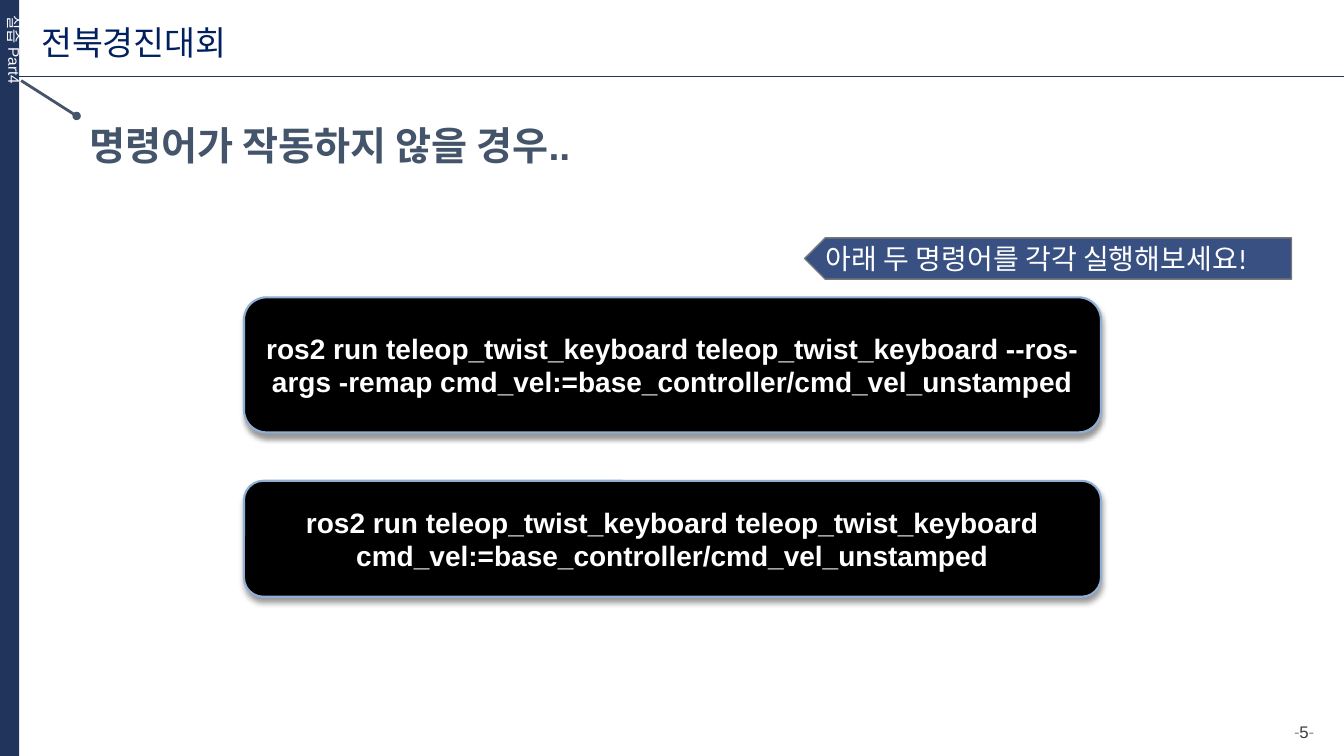
from dataclasses import dataclass

from lxml import etree
from pptx import Presentation
from pptx import util as u
from pptx.dml.color import RGBColor
from pptx.enum import shapes, text
from pptx.oxml import ns


@dataclass(frozen=True)
class Theme:
    navy: str = "21345C"
    deep: str = "002060"
    slate: str = "44546A"
    edge: str = "787878"
    glow: str = "8FAFD5"
    black: str = "000000"
    white: str = "FFFFFF"
    dash: str = "888888"
    digit: str = "3F3F3F"
    head: int = 28
    topic: int = 24
    body: int = 20
    page: int = 12
    side: int = 11
    sans: str = "Arial"
    soft: str = "Calibri"


T = Theme()
W, H = 13.33, 7.5
BAR = 0.19


def rgb(code):
    return RGBColor.from_string(code)


def node(parent, tag, **attrs):
    item = etree.SubElement(parent, ns.qn(tag))
    for key, value in attrs.items():
        item.set(key, str(value))
    return item


def style(run, size, face, color, bold=False):
    font = run.font
    font.size, font.name, font.bold = u.Pt(size), face, bold
    font.color.rgb = rgb(color)


def place(box):
    return [u.Inches(v) for v in box]


def write(shape, words, look, align=text.PP_ALIGN.LEFT,
          anchor=text.MSO_ANCHOR.TOP, indent=0):
    frame = shape.text_frame
    frame.word_wrap = True
    frame.auto_size = text.MSO_AUTO_SIZE.NONE
    frame.vertical_anchor = anchor
    frame.text = words
    para = frame.paragraphs[0]
    para.alignment = align
    if indent:
        props = para._p.get_or_add_pPr()
        props.set("marL", str(u.Inches(indent)))
        props.set("indent", "0")
    style(para.runs[0], *look)


def draw(slide, kind, box, fill, line=None, width=1):
    shape = slide.shapes.add_shape(kind, *place(box))
    shape.shadow.inherit = False
    shape.fill.solid()
    shape.fill.fore_color.rgb = rgb(fill)
    if line:
        shape.line.color.rgb = rgb(line)
        shape.line.width = u.Pt(width)
    else:
        shape.line.fill.background()
    return shape


def rule(slide, start, end, color, width):
    line = slide.shapes.add_connector(
        shapes.MSO_CONNECTOR.STRAIGHT, *place(start + end))
    line.line.color.rgb = rgb(color)
    line.line.width = u.Pt(width)
    node(line._element.spPr, "a:effectLst")
    return line


def side(slide, box):
    """Side bar with its turned label."""
    x, y, w, h = box
    draw(slide, shapes.MSO_SHAPE.RECTANGLE, box, T.navy)
    label = slide.shapes.add_textbox(*place((x - 0.87, y + 0.92, 2.02, 0.29)))
    label.rotation = 90
    write(label, "실습 Part4", (T.side, T.sans, T.white))


def header(slide, box):
    """Topic above a thin rule."""
    x, y, w, h = box
    rule(slide, (x, y + h), (x + w, y + h), T.navy, 0.75)
    topic = slide.shapes.add_textbox(*place((x + 0.12, y + 0.17, 4.47, 0.5)))
    write(topic, "전북경진대회", (T.topic, T.soft, T.deep))


def heading(slide, box):
    """Slide title with a pointer leading to it."""
    x, y, w, h = box
    pin = rule(slide, (x, y - 0.35), (x + 0.55, y), T.slate, 2)
    node(pin.line._get_or_add_ln(), "a:tailEnd", type="oval")
    title = slide.shapes.title
    title.left, title.top, title.width, title.height = place(box)
    write(title, "명령어가 작동하지 않을 경우..",
          (T.head, T.sans, T.slate, True), indent=0.58)


def banner(slide, box):
    """Translucent tag pointing left."""
    tag = draw(slide, shapes.MSO_SHAPE.PENTAGON, box, T.deep, T.edge)
    tag._element.spPr.xfrm.set("flipH", "1")
    color = tag._element.spPr.find(".//" + ns.qn("a:srgbClr"))
    node(color, "a:alpha", val=78000)
    write(tag, "아래 두 명령어를 각각 실행해보세요!", (T.body, T.soft, T.white),
          anchor=text.MSO_ANCHOR.MIDDLE, indent=0.01)


def command(slide, box, words):
    """Black command card with a drop shadow."""
    card = draw(slide, shapes.MSO_SHAPE.ROUNDED_RECTANGLE, box,
                T.black, T.glow, 1.5)
    effect = card._element.spPr.find(ns.qn("a:effectLst"))
    shade = node(effect, "a:outerShdw", blurRad=u.Pt(4), dist=u.Pt(3),
                 dir=90 * 60000, rotWithShape=0)
    node(node(shade, "a:srgbClr", val=T.black), "a:alpha", val=40000)
    write(card, words, (T.body, T.sans, T.white, True),
          text.PP_ALIGN.CENTER, text.MSO_ANCHOR.MIDDLE)


def footer(slide, box):
    """Page number between dashes."""
    page = slide.shapes.add_textbox(*place(box))
    page.text_frame.margin_right = u.Inches(0.08)
    write(page, "-", (T.page, T.soft, T.dash),
          text.PP_ALIGN.CENTER, text.MSO_ANCHOR.MIDDLE)
    para = page.text_frame.paragraphs[0]
    for words, face, color in (("5", T.sans, T.digit), ("-", T.soft, T.dash)):
        run = para.add_run()
        run.text = words
        style(run, T.page, face, color)


def main():
    deck = Presentation()
    deck.slide_width, deck.slide_height = u.Inches(W), u.Inches(H)
    slide = deck.slides.add_slide(deck.slide_layouts[5])

    # Frame of the page
    header(slide, (BAR, 0, W - BAR, 0.76))
    side(slide, (0, 0, BAR, H))
    footer(slide, (12.49, 7.06, 0.87, 0.4))

    # Content
    heading(slide, (0.21, 1.15, 5.81, 0.57))
    banner(slide, (7.98, 2.36, 4.83, 0.41))
    run = "ros2 run teleop_twist_keyboard teleop_twist_keyboard"
    target = "cmd_vel:=base_controller/cmd_vel_unstamped"
    cards = ((2.95, 1.34, f"{run} --ros-args -remap {target}"),
             (4.77, 1.15, f"{run} {target}"))
    for top, height, words in cards:
        command(slide, (2.42, top, 8.5, height), words)

    deck.save("out.pptx")


if __name__ == "__main__":
    main()
